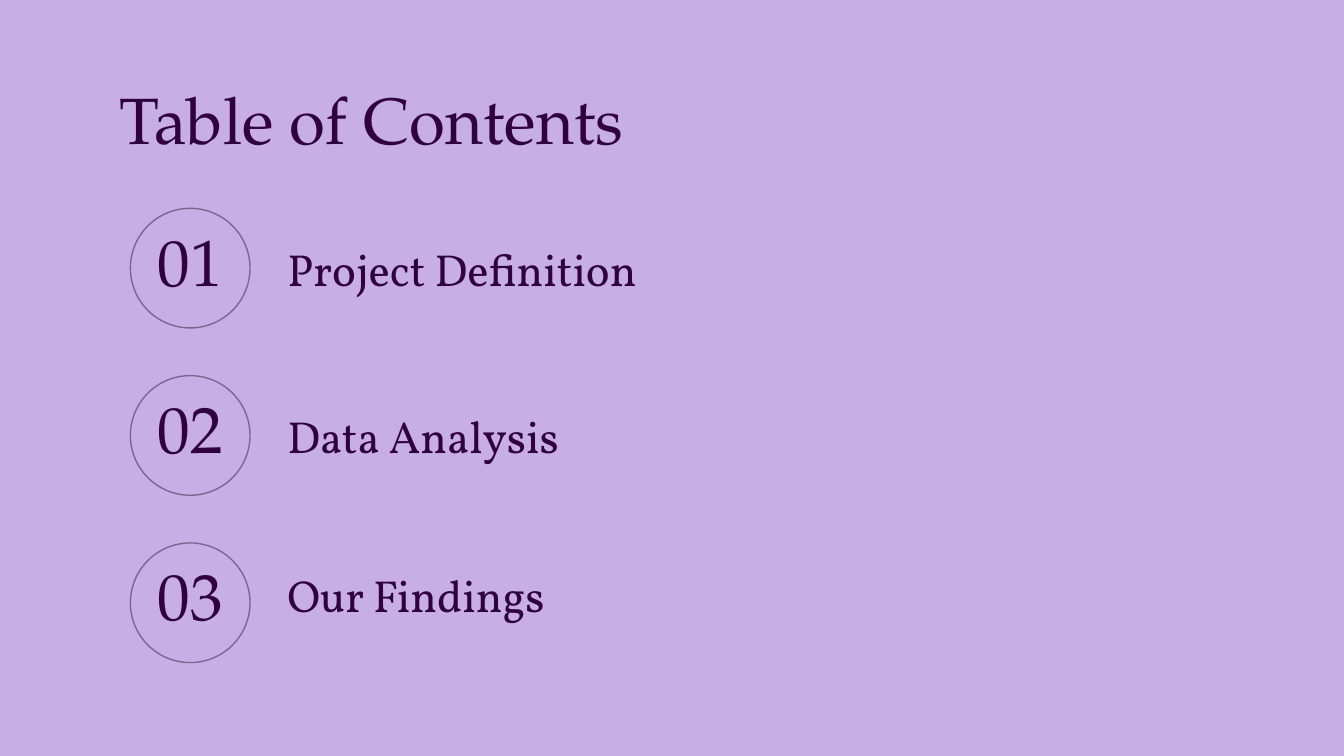
from dataclasses import dataclass

from pptx import Presentation
from pptx import util as u
from pptx.dml.color import RGBColor
from pptx.enum import shapes, text


@dataclass(frozen=True)
class Theme:
    """Colours, fonts and type sizes of the slide."""
    back: str = "C7AEE4"
    ink: str = "310041"
    ring: str = "7E6395"
    head: str = "TeX Gyre Pagella"
    body: str = "Vollkorn"
    large: int = 35
    mid: int = 24


THEME = Theme()
ITEMS = [("01", "Project Definition", 0.24),
         ("02", "Data Analysis", 0.24),
         ("03", "Our Findings", 0.18)]


def add_text(slide, words, box, font=THEME.head, size=THEME.large,
             align=text.PP_ALIGN.LEFT, anchor=text.MSO_ANCHOR.MIDDLE):
    """Place one line of formatted text in a box."""
    frame = slide.shapes.add_textbox(*map(u.Inches, box)).text_frame
    frame.word_wrap = True
    frame.vertical_anchor = anchor
    frame.margin_left = frame.margin_right = u.Inches(0.1)
    frame.margin_top = frame.margin_bottom = u.Inches(0.1)
    para = frame.paragraphs[0]
    para.alignment = align
    run = para.add_run()
    run.text = words
    run.font.name = font
    run.font.size = u.Pt(size)
    run.font.color.rgb = RGBColor.from_string(THEME.ink)


def add_ring(slide, left, top, size):
    """Draw an outlined circle."""
    ring = slide.shapes.add_shape(
        shapes.MSO_SHAPE.OVAL, *map(u.Inches, (left, top, size, size)))
    ring.shadow.inherit = False
    ring.fill.background()
    ring.line.color.rgb = RGBColor.from_string(THEME.ring)
    ring.line.width = u.Pt(0.75)


def add_item(slide, number, label, drop, left, top):
    """Place a ringed number with its label beside it."""
    add_ring(slide, left, top, 0.89)
    add_text(slide, number, (left - 0.05, top + 0.16, 0.99, 0.45),
             align=text.PP_ALIGN.CENTER)
    add_text(slide, label, (left + 1.07, top + drop, 5.12, 0.41),
             font=THEME.body, size=THEME.mid)


def add_list(slide, left, top, span):
    """Spread the numbered items evenly over a vertical span."""
    pitch = span / (len(ITEMS) - 1)
    for row, (number, label, drop) in enumerate(ITEMS):
        add_item(slide, number, label, drop, left, top + row * pitch)


def main():
    """Build and save the contents slide."""
    deck = Presentation()
    deck.slide_width = u.Inches(10)
    deck.slide_height = deck.slide_width * 9 // 16
    slide = deck.slides.add_slide(deck.slide_layouts[6])
    fill = slide.background.fill
    fill.solid()
    fill.fore_color.rgb = RGBColor.from_string(THEME.back)
    add_text(slide, "Table of Contents", (0.79, 0.49, 8.43, 0.63),
             anchor=text.MSO_ANCHOR.TOP)
    add_list(slide, 0.97, 1.55, 2.49)
    deck.save("out.pptx")


if __name__ == "__main__":
    main()
